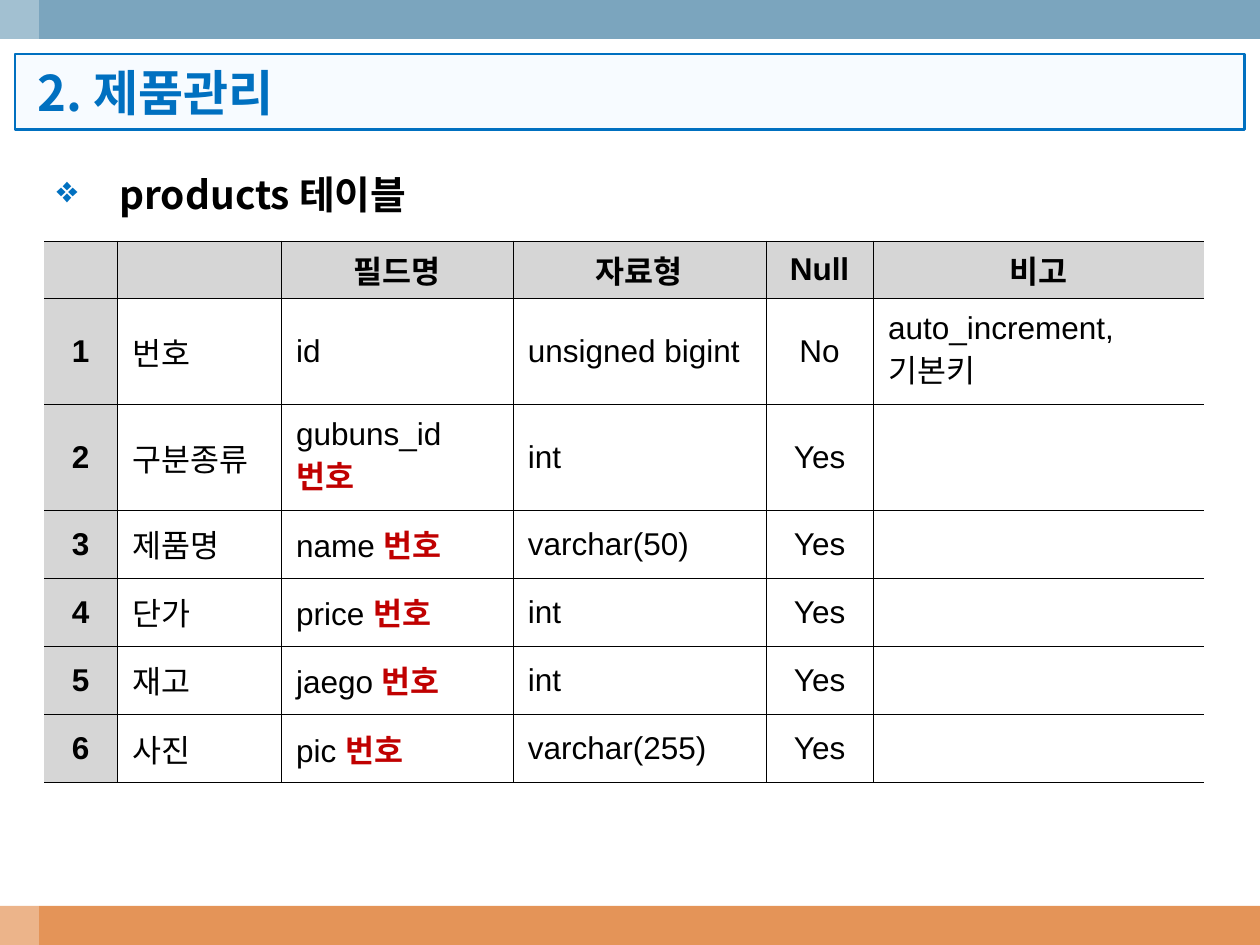
"""Build the product management slide with its table of database fields."""
import pptx
import pptx.dml.color
import pptx.enum.shapes
import pptx.enum.text
import pptx.oxml.ns
import pptx.util
from lxml import etree
from pptx.util import Inches, Pt

TITLE = "2. 제품관리"
SUBTITLE = "products 테이블"
MARK = "번호"
HEADER = ["", "", "필드명", "자료형", "Null", "비고"]
FIELDS = [
    ("번호", "id", "", "unsigned bigint", "No", "auto_increment, 기본키"),
    ("구분종류", "gubuns_id", MARK, "int", "Yes", ""),
    ("제품명", "name", MARK, "varchar(50)", "Yes", ""),
    ("단가", "price", MARK, "int", "Yes", ""),
    ("재고", "jaego", MARK, "int", "Yes", ""),
    ("사진", "pic", MARK, "varchar(255)", "Yes", ""),
]
COLUMN_WIDTHS = [0.58, 1.3, 1.84, 2.01, 0.85, 2.63]
ROW_HEIGHTS = [0.46, 0.84, 0.84] + [0.54] * 4
COLORS = {
    "top": "7BA5BE", "bottom": "E49458", "white": "FFFFFF", "blue": "0070C0",
    "title": "F7FBFF", "header": "D6D6D6", "text": "000000", "mark": "C00000",
}
LATIN, KOREAN = "Arial", "Noto Sans CJK KR"
ALIGN = pptx.enum.text.PP_ALIGN
MIDDLE = pptx.enum.text.MSO_ANCHOR.MIDDLE


def rgb(name):
    return pptx.dml.color.RGBColor.from_string(COLORS[name])


def add_node(parent, tag, **attributes):
    return etree.SubElement(parent, pptx.oxml.ns.qn(tag), attributes)


def set_font(font, size, face, color, bold):
    font.size, font.name, font.bold = Pt(size), face, bold
    font.color.rgb = rgb(color)
    latin = font._element.find(pptx.oxml.ns.qn("a:latin"))
    east_asian = etree.Element(pptx.oxml.ns.qn("a:ea"), {"typeface": KOREAN})
    latin.addnext(east_asian)


def add_block(slide, left, top, width, height, color):
    block = slide.shapes.add_shape(
        pptx.enum.shapes.MSO_SHAPE.RECTANGLE,
        Inches(left), Inches(top), Inches(width), Inches(height))
    block.shadow.inherit = False
    block.fill.solid()
    block.fill.fore_color.rgb = rgb(color)
    block.line.fill.background()
    return block


def add_frame(slide):
    add_block(slide, 0, 7.19, 10, 0.31, "bottom")
    add_block(slide, 0, 0, 10, 0.31, "top")
    side = add_block(slide, 0, 0, 0.31, 7.5, "white")
    tint = side._element.spPr.find(".//" + pptx.oxml.ns.qn("a:srgbClr"))
    add_node(tint, "a:alpha", val="30000")


def add_title(slide):
    banner = add_block(slide, 0.12, 0.43, 9.76, 0.6, "title")
    banner.line.color.rgb = rgb("blue")
    banner.line.width = Pt(1.5)
    frame = banner.text_frame
    frame.vertical_anchor = MIDDLE
    frame.margin_left = Inches(0.18)
    title = frame.paragraphs[0]
    title.text, title.alignment = TITLE, ALIGN.LEFT
    set_font(title.font, 28, KOREAN, "blue", True)


def add_subtitle(slide):
    box = slide.shapes.add_textbox(
        Inches(0.35), Inches(1.31), Inches(8.98), Inches(0.5))
    box.text_frame.word_wrap = True
    box.text_frame.vertical_anchor = MIDDLE
    subtitle = box.text_frame.paragraphs[0]
    subtitle.text, subtitle.line_spacing = SUBTITLE, 0.9
    properties = subtitle._p.get_or_add_pPr()
    properties.set("marL", str(Inches(0.5)))
    properties.set("indent", str(-Inches(0.5)))
    bullet_color = add_node(properties, "a:buClr")
    add_node(bullet_color, "a:srgbClr", val=COLORS["blue"])
    add_node(properties, "a:buSzPct", val="95000")
    add_node(properties, "a:buChar", char="❖")
    set_font(subtitle.font, 22.2, KOREAN, "text", True)


def set_borders(cell, hidden_side):
    properties = cell._tc.get_or_add_tcPr()
    for position, side in enumerate(("a:lnL", "a:lnR", "a:lnT", "a:lnB")):
        border = etree.Element(pptx.oxml.ns.qn(side), {"w": str(Pt(0.11))})
        if side == hidden_side:
            add_node(border, "a:noFill")
        else:
            add_node(add_node(border, "a:solidFill"), "a:srgbClr", val=COLORS["text"])
        properties.insert(position, border)


def fill_cell(cell, texts, heading, centered):
    cell.vertical_anchor = MIDDLE
    cell.margin_left = cell.margin_right = Inches(0.02 if heading else 0.12)
    if heading:
        cell.fill.solid()
        cell.fill.fore_color.rgb = rgb("header")
    else:
        cell.fill.background()
    paragraph = cell.text_frame.paragraphs[0]
    paragraph.alignment = ALIGN.CENTER if centered else ALIGN.JUSTIFY
    set_font(paragraph.font, 18, LATIN, "text", heading)
    for text in filter(None, texts):
        run = paragraph.add_run()
        run.text = text
        if len(texts) > 1 and text == MARK:
            set_font(run.font, 18, LATIN, "mark", True)


def add_fields(slide):
    rows = [[[label] for label in HEADER]]
    for number, (label, field, mark, kind, null, note) in enumerate(FIELDS, 1):
        name = [field + " ", mark] if mark else [field]
        rows.append([[str(number)], [label], name, [kind], [null], [note]])
    table = slide.shapes.add_table(
        len(rows), len(HEADER), Inches(0.35), Inches(1.91),
        Inches(sum(COLUMN_WIDTHS)), Inches(sum(ROW_HEIGHTS))).table
    table.first_row = table.horz_banding = False
    for column, width in zip(table.columns, COLUMN_WIDTHS):
        column.width = Inches(width)
    for row, height in zip(table.rows, ROW_HEIGHTS):
        row.height = Inches(height)
    outer_sides = {0: "a:lnL", len(HEADER) - 1: "a:lnR"}
    for r, row in enumerate(rows):
        for c, texts in enumerate(row):
            heading = r == 0 or c == 0
            cell = table.cell(r, c)
            fill_cell(cell, texts, heading, heading or HEADER[c] == "Null")
            set_borders(cell, outer_sides.get(c))


def main():
    deck = pptx.Presentation()
    deck.slide_width, deck.slide_height = Inches(10), Inches(7.5)
    slide = deck.slides.add_slide(deck.slide_layouts[6])
    add_frame(slide)
    add_subtitle(slide)
    add_fields(slide)
    add_title(slide)
    deck.save("out.pptx")


if __name__ == "__main__":
    main()
